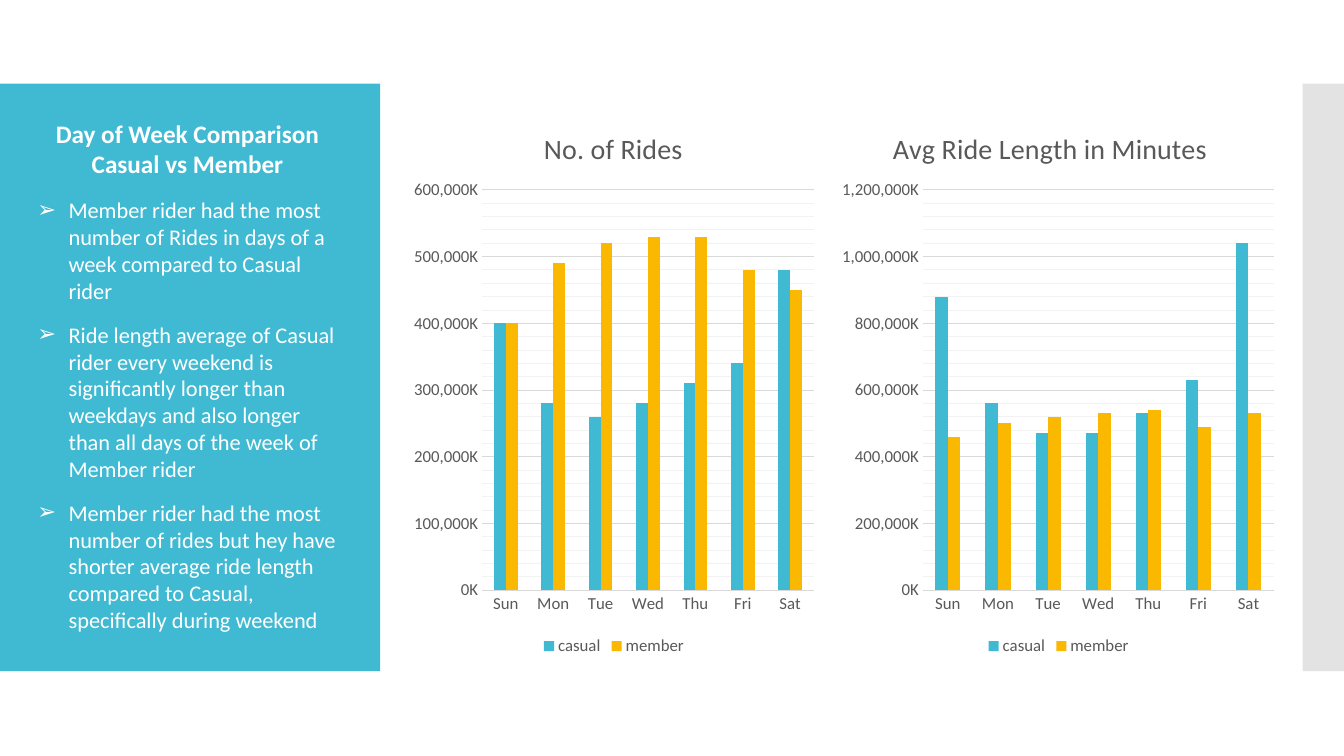
from lxml.etree import SubElement
from pptx import Presentation
from pptx.chart.data import CategoryChartData
from pptx.dml.color import RGBColor
from pptx.enum.chart import XL_CHART_TYPE as ChartType, XL_LEGEND_POSITION as LegendPos
from pptx.enum.chart import XL_TICK_MARK as Tick
from pptx.enum.shapes import MSO_SHAPE as Shape
from pptx.enum.text import MSO_ANCHOR as Anchor, MSO_AUTO_SIZE as AutoSize, PP_ALIGN as Align
from pptx.oxml import parse_xml
from pptx.oxml.ns import nsdecls, qn
from pptx.util import Inches, Pt

COLORS = {"teal": "40BAD2", "gold": "FAB900", "gray": "C8C8C8", "text": "595959",
          "grid": "D9D9D9", "minor": "F2F2F2", "white": "FFFFFF"}
FONT = "Calibri"
DAYS = ["Sun", "Mon", "Tue", "Wed", "Thu", "Fri", "Sat"]
HEADING = ["Day of Week Comparison", "Casual vs Member"]
FINDINGS = [
    "Member rider had the most number of Rides in days of a week compared to Casual rider",
    "Ride length average of Casual rider every weekend is significantly longer than weekdays "
    "and also longer than all days of the week of Member rider",
    "Member rider had the most number of rides but hey have shorter average ride length "
    "compared to Casual, specifically during weekend",
]
RIDES = {"casual": [400000, 280000, 260000, 280000, 310000, 340000, 480000],
         "member": [400000, 490000, 520000, 530000, 530000, 480000, 450000]}
LENGTHS = {"casual": [880000, 560000, 470000, 470000, 530000, 630000, 1040000],
           "member": [460000, 500000, 520000, 530000, 540000, 490000, 530000]}


def rgb(name):
    return RGBColor.from_string(COLORS[name])


def style_font(font, size=12, color="text", bold=False):
    font.name, font.size, font.bold = FONT, Pt(size), bold
    font.color.rgb = rgb(color)


def add_text(p, text, align=Align.LEFT, after=0, **fmt):
    p.alignment = align
    p.space_before, p.space_after = Pt(0), Pt(after)
    r = p.add_run()
    r.text = text
    style_font(r.font, **fmt)


def add_bullet(p, char, indent):
    pPr = p._p.get_or_add_pPr()
    pPr.set("marL", str(indent))
    pPr.set("indent", str(-indent))
    SubElement(pPr, qn("a:buChar")).set("char", char)


def set_layout(element, x, y, w=None, h=None):
    """Place a chart part by fractions of the chart's size."""
    for old in element.findall(qn("c:layout")):
        element.remove(old)
    modes = '<c:xMode val="edge"/><c:yMode val="edge"/>'
    target = '<c:layoutTarget val="inner"/>' if w else ""
    size = f'<c:w val="{w}"/><c:h val="{h}"/>' if w else ""
    layout = parse_xml(f'<c:layout {nsdecls("c")}><c:manualLayout>{target}{modes}'
                       f'<c:x val="{x}"/><c:y val="{y}"/>{size}</c:manualLayout></c:layout>')
    tx = element.find(qn("c:tx"))
    element.insert(0 if tx is None else 1, layout)


def style_minor_gridlines(axis):
    lines = axis._element.find(qn("c:minorGridlines"))
    lines.append(parse_xml(
        f'<c:spPr {nsdecls("c", "a")}><a:ln w="{Pt(0.75)}"><a:solidFill>'
        f'<a:srgbClr val="{COLORS["minor"]}"/></a:solidFill></a:ln></c:spPr>'))


class SlideBuilder:
    def __init__(self, prs):
        self.slide = prs.slides.add_slide(prs.slide_layouts[1])
        self.title, self.body = self.slide.placeholders

    def panel(self, x, w, color, alpha=None):
        sp = self.slide.shapes.add_shape(Shape.RECTANGLE, Inches(x), Inches(0.83),
                                         Inches(w), Inches(5.83))
        sp.shadow.inherit = False
        sp.fill.solid()
        sp.fill.fore_color.rgb = rgb(color)
        sp.line.fill.background()
        if alpha:
            clr = sp.element.spPr.find(f'{qn("a:solidFill")}/{qn("a:srgbClr")}')
            SubElement(clr, qn("a:alpha")).set("val", str(alpha * 1000))
        # Panels lie behind the placeholders
        self.slide.shapes.element.insert(2, sp.element)

    def text(self, sp, y, h, lines, bullet=None, **fmt):
        sp.left, sp.top, sp.width, sp.height = Inches(0.27), Inches(y), Inches(3.18), Inches(h)
        tf = sp.text_frame
        tf.word_wrap, tf.auto_size, tf.vertical_anchor = True, AutoSize.NONE, Anchor.TOP
        for i, line in enumerate(lines):
            p = tf.add_paragraph() if i else tf.paragraphs[0]
            add_text(p, line, color="white", **fmt)
            if bullet:
                add_bullet(p, bullet, Inches(0.31))

    def chart(self, x, w, title, series, top, plot_x, plot_w, title_x):
        data = CategoryChartData(number_format="#,##0\\K")
        data.categories = DAYS
        for name, values in series.items():
            data.add_series(name, values)
        chart = self.slide.shapes.add_chart(ChartType.COLUMN_CLUSTERED, Inches(x), Inches(0.95),
                                            Inches(w), Inches(5.6), data).chart
        style_font(chart.font)

        # Title and legend
        chart.has_title = True
        add_text(chart.chart_title.text_frame.paragraphs[0], title, Align.CENTER, size=20)
        set_layout(chart.chart_title._element, title_x, 0.05)
        chart.has_legend = True
        chart.legend.position = LegendPos.BOTTOM
        chart.legend.include_in_layout = False
        style_font(chart.legend.font)

        # Columns
        plot = chart.plots[0]
        plot.gap_width, plot.overlap, plot.vary_by_categories = 199, 0, False
        for s, color in zip(plot.series, ("teal", "gold")):
            s.format.fill.solid()
            s.format.fill.fore_color.rgb = rgb(color)
            s.invert_if_negative = False
        set_layout(chart._chartSpace.chart.plotArea, plot_x, 0.167, plot_w, 0.709)

        # Axes and gridlines
        cat, val = chart.category_axis, chart.value_axis
        for axis in (cat, val):
            axis.major_tick_mark = axis.minor_tick_mark = Tick.NONE
            style_font(axis.tick_labels.font)
        val.minimum_scale, val.maximum_scale = 0, top
        val.major_unit, val.minor_unit = top / 6, top / 30
        val.has_major_gridlines = val.has_minor_gridlines = True
        val.tick_labels.number_format = "#,##0\\K"
        val.tick_labels.number_format_is_linked = False
        val.format.line.fill.background()
        for part in (cat, val.major_gridlines):
            part.format.line.color.rgb = rgb("grid")
            part.format.line.width = Pt(0.75)
        style_minor_gridlines(val)


def main():
    prs = Presentation()
    prs.slide_width, prs.slide_height = Inches(13.33), Inches(7.5)
    b = SlideBuilder(prs)

    # Side panels
    b.panel(0, 3.77, "teal")
    b.panel(12.92, 0.41, "gray", alpha=50)

    # Heading and findings
    b.text(b.title, 1.12, 0.75, HEADING, align=Align.CENTER, size=18, bold=True)
    b.text(b.body, 1.9, 4.64, FINDINGS, bullet="➢", size=16, after=12)

    # Charts
    b.chart(4.02, 4.14, "No. of Rides", RIDES, 600000, 0.184, 0.795, 0.32)
    b.chart(8.27, 4.46, "Avg Ride Length in Minutes", LENGTHS, 1200000, 0.198, 0.78, 0.12)
    prs.save("out.pptx")


if __name__ == "__main__":
    main()
